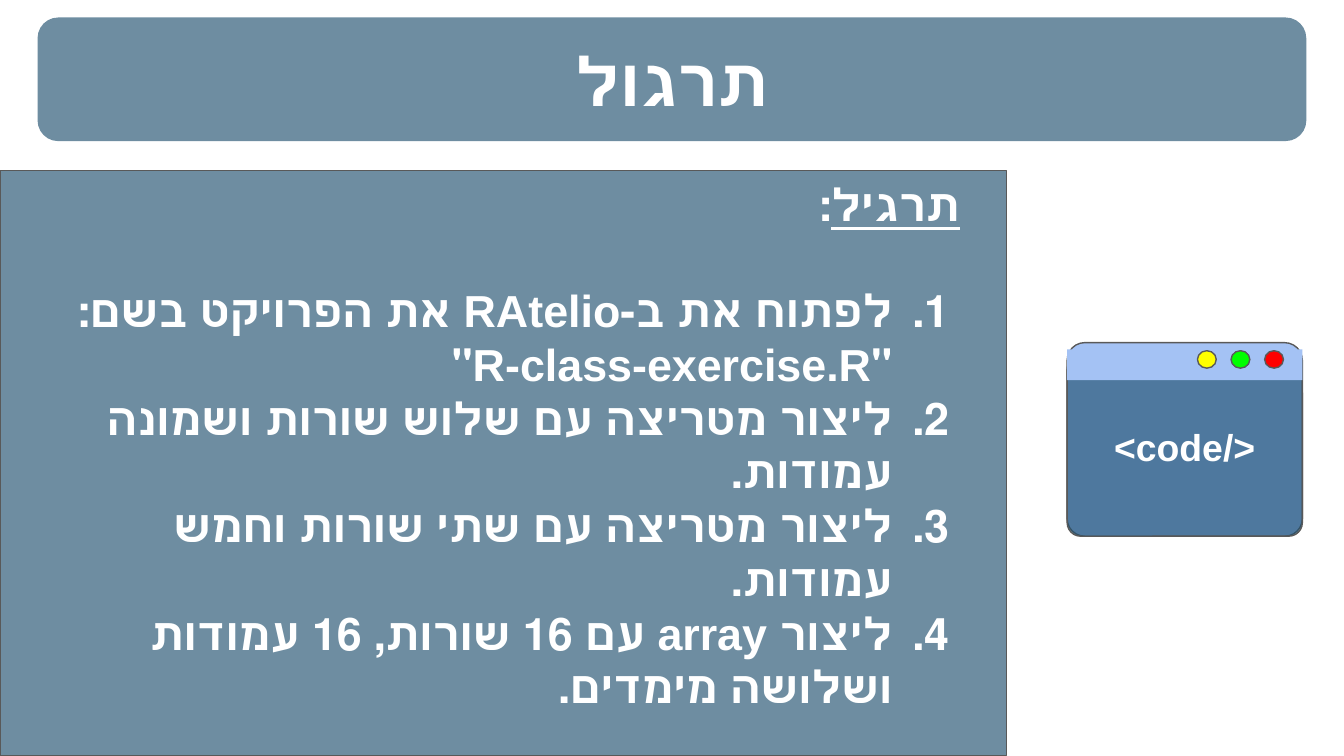
import pptx
import pptx.util
import pptx.dml.color
import pptx.enum.shapes
import pptx.enum.text
import pptx.oxml.ns
from dataclasses import dataclass
from lxml import etree

Inches = pptx.util.Inches
Pt = pptx.util.Pt
Kind = pptx.enum.shapes.MSO_SHAPE
Align = pptx.enum.text.PP_ALIGN
Middle = pptx.enum.text.MSO_ANCHOR.MIDDLE
qn = pptx.oxml.ns.qn


@dataclass
class Theme:
    font: str = "Arial"
    navy: str = "215170"
    sky: str = "A4C2F4"
    edge: str = "595959"
    white: str = "FFFFFF"
    lights: tuple = ("FFFF00", "00FF00", "FF0000")
    title: int = 36
    body: int = 24
    code: int = 20
    alpha: int = 65


class Maker:
    def __init__(self, theme, slide):
        self.theme = theme
        self.slide = slide

    def group(self):
        return self.slide.shapes.add_group_shape().shapes

    def shape(self, kind, box, fill, alpha=100, line=True, adj=None, home=None):
        home = self.slide.shapes if home is None else home
        item = home.add_shape(kind, *map(Inches, box))
        item.shadow.inherit = False
        if adj is not None:
            item.adjustments[0] = adj
        item.fill.solid()
        item.fill.fore_color.rgb = self.color(fill)
        if alpha < 100:
            tint = item.fill._xPr.find(".//" + qn("a:srgbClr"))
            etree.SubElement(tint, qn("a:alpha"), val=str(alpha * 1000))
        if line:
            item.line.color.rgb = self.color(self.theme.edge)
            item.line.width = Pt(0.75)
        else:
            item.line.fill.background()
        return item

    def text(self, box, low=0):
        item = self.slide.shapes.add_textbox(*map(Inches, box))
        return self.frame(item, 0, low)

    def frame(self, item, inset, low):
        frame = item.text_frame
        frame.word_wrap = True
        frame.vertical_anchor = Middle
        frame.margin_left = frame.margin_right = frame.margin_top = Inches(inset)
        frame.margin_bottom = Inches(low)
        return frame

    def style(self, para, size, align, rtl=True):
        para.alignment = align
        if rtl:
            para._p.get_or_add_pPr().set("rtl", "1")
        for run in para.runs:
            font = run.font
            font.size = Pt(size)
            font.bold = True
            font.name = self.theme.font
            font.color.rgb = self.color(self.theme.white)

    def number(self, para):
        prop = para._p.get_or_add_pPr()
        prop.set("marL", str(Inches(0.5)))
        prop.set("indent", str(Inches(-0.42)))
        tint = etree.SubElement(prop, qn("a:buClr"))
        etree.SubElement(tint, qn("a:srgbClr"), val=self.theme.white)
        etree.SubElement(prop, qn("a:buFont"), typeface=self.theme.font)
        etree.SubElement(prop, qn("a:buAutoNum"), type="arabicPeriod")

    def color(self, code):
        return pptx.dml.color.RGBColor.from_string(code)


theme = Theme()
deck = pptx.Presentation()
deck.slide_width = Inches(10)
deck.slide_height = Inches(10 * 9 / 16)
make = Maker(theme, deck.slides.add_slide(deck.slide_layouts[6]))

make.shape(Kind.ROUNDED_RECTANGLE, (0.28, 0.13, 9.44, 0.92), theme.navy,
           theme.alpha, line=False, adj=0.167)
title = make.text((0.33, 0.29, 9.34, 0.6)).paragraphs[0]
title.text = "תרגול"
make.style(title, theme.title, Align.CENTER)

make.shape(Kind.RECTANGLE, (0, 1.27, 7.49, 4.35), theme.navy, theme.alpha)

window = make.group()
make.shape(Kind.ROUNDED_RECTANGLE, (7.94, 2.55, 1.75, 1.44), theme.sky,
           adj=0.091, home=window)
pane = make.shape(Kind.ROUNDED_RECTANGLE, (7.94, 2.65, 1.75, 1.34), theme.navy,
                  theme.alpha, adj=0.075, home=window)
code = make.frame(pane, 0.1, 0.1).paragraphs[0]
code.text = "<code/>"
make.style(code, theme.code, Align.CENTER, rtl=False)
make.shape(Kind.RECTANGLE, (7.94, 2.6, 1.75, 0.23), theme.sky,
           line=False, home=window)
for place, light in enumerate(theme.lights):
    make.shape(Kind.OVAL, (8.91 + 0.25 * place, 2.61, 0.14, 0.13), light,
               home=window)

tasks = (
    'לפתוח את ב-RAtelio את הפרויקט בשם: "R-class-exercise.R"',
    "ליצור מטריצה עם שלוש שורות ושמונה עמודות.",
    "ליצור מטריצה עם שתי שורות וחמש עמודות.",
    "ליצור array עם 16 שורות, 16 עמודות ושלושה מימדים.",
)
body = make.text((0.43, 1.54, 6.71, 3.94), low=0.4)
head = body.paragraphs[0]
head.text = "תרגיל"
head.runs[0].font.underline = True
head.add_run().text = ":"
make.style(head, theme.body, Align.RIGHT)
head.space_after = Pt(28)
for task in tasks:
    para = body.add_paragraph()
    para.text = task
    make.style(para, theme.body, Align.RIGHT)
    make.number(para)

deck.save("out.pptx")
